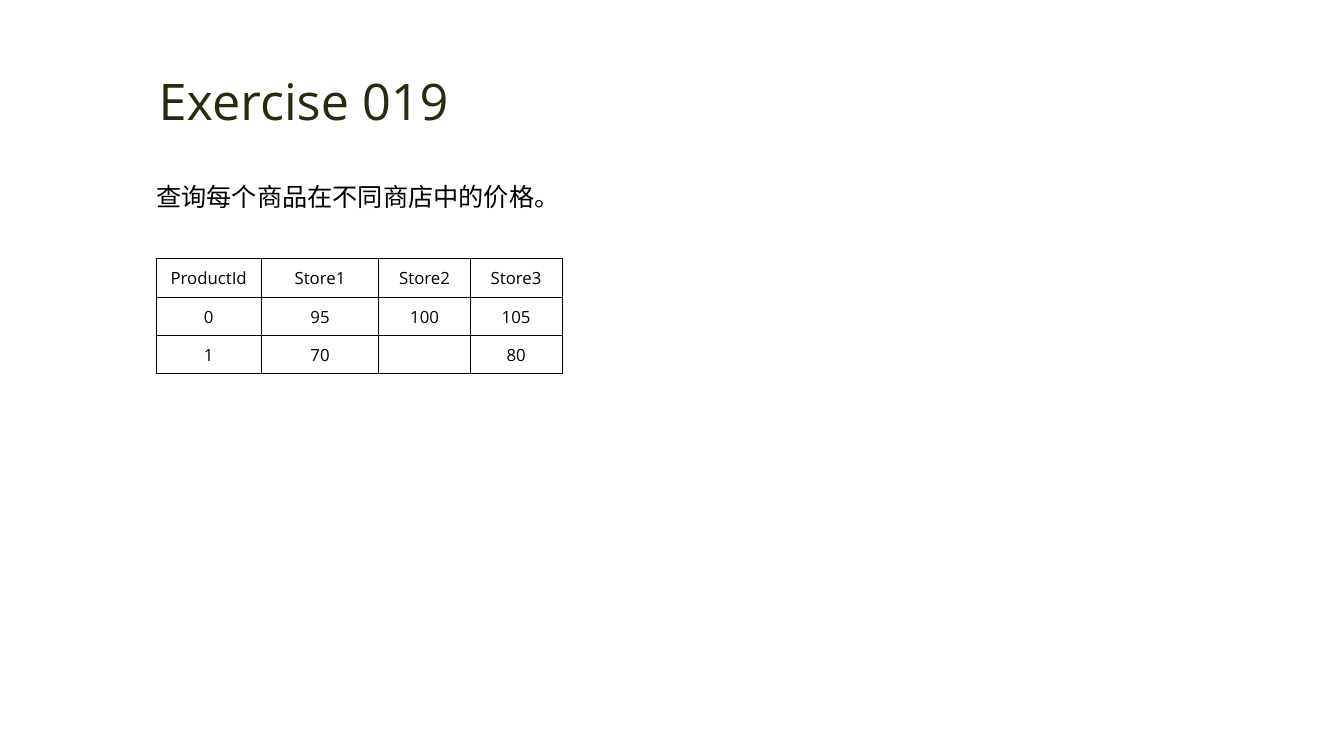
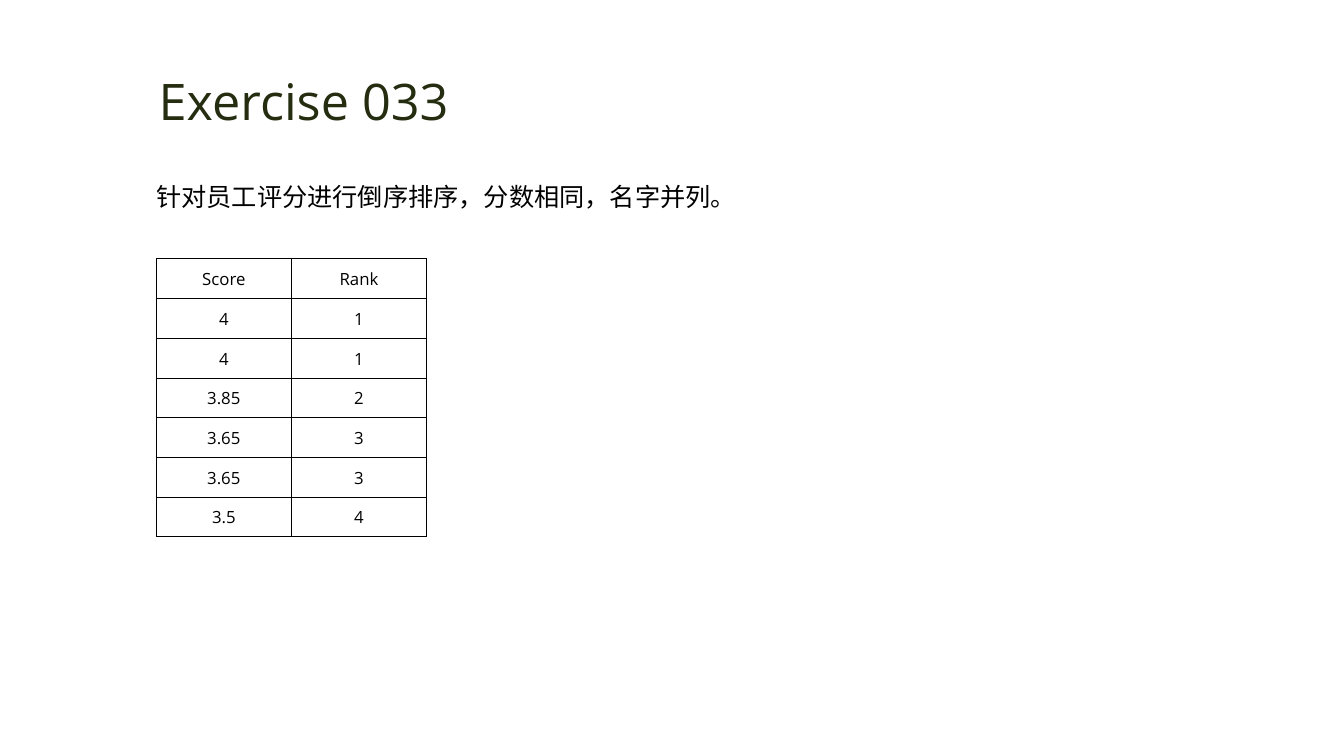
from dataclasses import dataclass

from lxml.etree import SubElement
from pptx import Presentation
from pptx.dml.color import RGBColor
from pptx.enum.text import MSO_ANCHOR, MSO_AUTO_SIZE, PP_ALIGN
from pptx.oxml.ns import qn
from pptx.util import Inches, Pt


@dataclass(frozen=True)
class Theme:
    font: str = "Open Sans"
    heading: str = "242D10"
    ink: str = "000000"
    heading_size: int = 36
    question_size: int = 18
    cell_size: int = 12
    border: float = 0.5


class ExerciseDeck:
    COLUMNS, ROWS = 160, 90

    def __init__(self, theme):
        self.theme = theme
        self.deck = Presentation()
        self.deck.slide_width = Inches(13.33)
        self.deck.slide_height = Inches(7.5)
        self.slide = None

    def x(self, columns):
        return round(self.deck.slide_width * columns / self.COLUMNS)

    def y(self, rows):
        return round(self.deck.slide_height * rows / self.ROWS)

    def style(self, paragraph, size, color):
        paragraph.font.name = self.theme.font
        paragraph.font.size = Pt(size)
        paragraph.font.color.rgb = RGBColor.from_string(color)

    def fill_placeholder(self, holder, text, left, top, width, height):
        holder.left, holder.top = self.x(left), self.y(top)
        holder.width, holder.height = self.x(width), self.y(height)
        frame = holder.text_frame
        frame.text = text
        frame.auto_size = MSO_AUTO_SIZE.SHAPE_TO_FIT_TEXT
        frame.vertical_anchor = MSO_ANCHOR.TOP
        return frame

    def start(self, heading):
        self.slide = self.deck.slides.add_slide(self.deck.slide_layouts[1])
        frame = self.fill_placeholder(
            self.slide.shapes.title, heading, 16.7, 7.7, 38.9, 8.5)
        frame.word_wrap = False
        frame.paragraphs[0].alignment = PP_ALIGN.CENTER
        self.style(frame.paragraphs[0], self.theme.heading_size, self.theme.heading)

    def question(self, text, width):
        frame = self.fill_placeholder(
            self.slide.placeholders[1], text, 17.4, 19.2, width, 6.1)
        frame.word_wrap = True
        paragraph = frame.paragraphs[0]
        paragraph.line_spacing = 1.5
        paragraph.space_before = Pt(0)
        properties = paragraph._p.get_or_add_pPr()
        properties.set("marL", "0")
        properties.set("indent", "0")
        SubElement(properties, qn("a:buNone"))
        self.style(paragraph, self.theme.question_size, self.theme.ink)

    def outline(self, cell):
        properties = cell._tc.get_or_add_tcPr()
        for side in ("lnL", "lnR", "lnT", "lnB"):
            line = SubElement(properties, qn(f"a:{side}"), w=str(Pt(self.theme.border)))
            fill = SubElement(line, qn("a:solidFill"))
            SubElement(fill, qn("a:srgbClr"), val=self.theme.ink)

    def answer(self, records, widths, row_height):
        table = self.slide.shapes.add_table(
            len(records), len(widths), self.x(18.6), self.y(30.8),
            self.x(sum(widths)), self.y(row_height * len(records))).table
        table.first_row = table.horz_banding = False
        for column, width in zip(table.columns, widths):
            column.width = self.x(width)
        for row, record in zip(table.rows, records):
            row.height = self.y(row_height)
            for cell, value in zip(row.cells, record):
                self.cell(cell, value)

    def cell(self, cell, value):
        cell.text = value
        cell.margin_left = cell.margin_right = cell.margin_top = Inches(0.01)
        cell.margin_bottom = 0
        cell.vertical_anchor = MSO_ANCHOR.MIDDLE
        self.outline(cell)
        cell.fill.background()
        paragraph = cell.text_frame.paragraphs[0]
        paragraph.alignment = PP_ALIGN.CENTER
        self.style(paragraph, self.theme.cell_size, self.theme.ink)


def main():
    exercises = ExerciseDeck(Theme())

    exercises.start("Exercise 019")
    exercises.question("查询每个商品在不同商店中的价格。", 62.8)
    prices = [
        ("ProductId", "Store1", "Store2", "Store3"),
        ("0", "95", "100", "105"),
        ("1", "70", "", "80"),
    ]
    exercises.answer(prices, (12.5, 14, 10.9, 10.9), 4.56)

    exercises.start("Exercise 033")
    exercises.question("针对员工评分进行倒序排序，分数相同，名字并列。", 71)
    ranking = [
        ("Score", "Rank"),
        ("4", "1"),
        ("4", "1"),
        ("3.85", "2"),
        ("3.65", "3"),
        ("3.65", "3"),
        ("3.5", "4"),
    ]
    exercises.answer(ranking, (16.1, 16.1), 4.73)

    exercises.deck.save("out.pptx")


if __name__ == "__main__":
    main()
